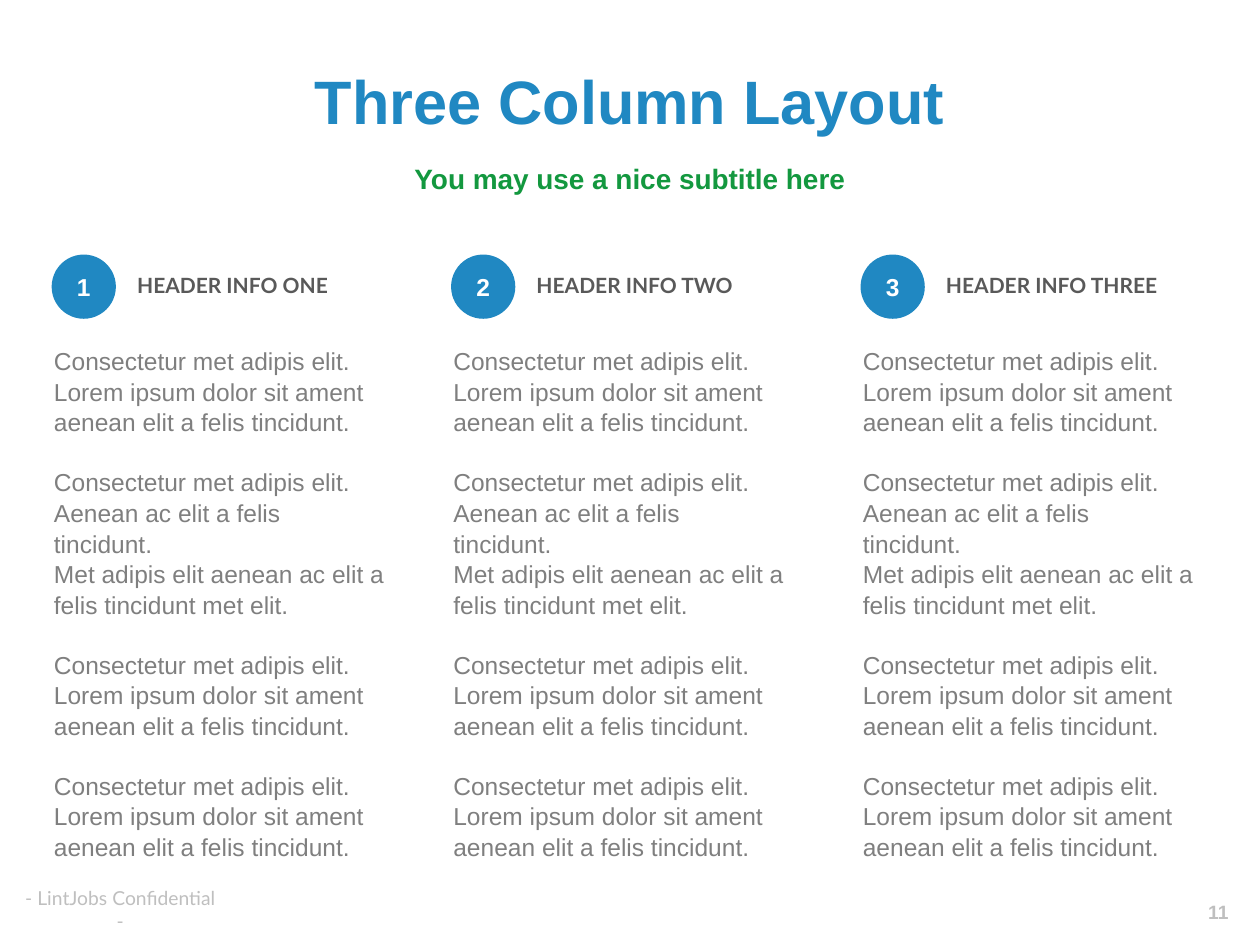
from pptx import Presentation, util as u
from pptx.dml.color import RGBColor
from pptx.enum import shapes, text

BLUE, GREEN, WHITE = "2088C2", "13983F", "FFFFFF"
DARK, GRAY, PALE = "595959", "7F7F7F", "BFBFBF"
LEFT, MID = text.PP_ALIGN.LEFT, text.PP_ALIGN.CENTER
COLS = (0.33, 3.5, 6.75)
HEADS = ("ONE", "TWO", "THREE")
WIDE, DOT, INDENT, PITCH = 2.83, 0.51, 0.66, 1.04
LOREM = "Consectetur met adipis elit. Lorem ipsum dolor sit ament aenean elit a felis tincidunt."
BODY = (
    (LOREM, 0),
    ("Consectetur met adipis elit. Aenean ac elit a felis tincidunt.", 1),
    ("Met adipis elit aenean ac elit a felis tincidunt met elit.", 0),
    (LOREM, 1),
    (LOREM, 1),
)


def color(code):
    """Turn a hex string into a colour."""
    return RGBColor.from_string(code)


def style(shape, size, code, bold=False, font="Arial", align=MID, space=1.0, top=False):
    """Format all text of a shape."""
    frame = shape.text_frame
    frame.word_wrap = True
    frame.auto_size = text.MSO_AUTO_SIZE.NONE
    frame.vertical_anchor = text.MSO_ANCHOR.TOP if top else text.MSO_ANCHOR.MIDDLE
    for para in frame.paragraphs:
        para.alignment, para.line_spacing = align, space
        for run in para.runs:
            run.font.name, run.font.size = font, u.Pt(size)
            run.font.bold = bold
            run.font.color.rgb = color(code)


def place(shape, *box):
    """Move a shape to a box given in inches."""
    shape.left, shape.top, shape.width, shape.height = map(u.Inches, box)


def label(slide, words, box, size, code, **look):
    """Add a formatted text box."""
    shape = slide.shapes.add_textbox(*map(u.Inches, box))
    shape.text_frame.text = words
    style(shape, size, code, **look)
    return shape


def badge(slide, words, left, top):
    """Add a round number badge."""
    box = map(u.Inches, (left, top, DOT, DOT))
    shape = slide.shapes.add_shape(shapes.MSO_SHAPE.ROUNDED_RECTANGLE, *box)
    shape.adjustments[0] = 0.5
    shape.shadow.inherit = False
    shape.fill.solid()
    shape.fill.fore_color.rgb = color(BLUE)
    shape.line.fill.background()
    shape.text_frame.text = words
    style(shape, 14, WHITE, bold=True)


def column(slide, num, left, head):
    """Add a badge, its header and the body text."""
    words = "\n".join(line for line, gap in BODY)
    body = label(slide, words, (left, 2.69, WIDE, 3.75), 14, GRAY,
                 align=LEFT, space=PITCH, top=True)
    for para, (line, gap) in zip(body.text_frame.paragraphs, BODY):
        para.space_before = u.Pt(16.8 * gap)
    label(slide, f"HEADER INFO {head}", (left + INDENT, 2, WIDE - INDENT, DOT), 12, DARK,
          bold=True, font="Lato", align=LEFT, space=1.1)
    badge(slide, str(num), left + 0.08, 2.02)


def main():
    """Build and save the slide."""
    deck = Presentation()
    deck.slide_width, deck.slide_height = u.Inches(10), u.Inches(7.5)
    slide = deck.slides.add_slide(deck.slide_layouts[5])
    title = slide.shapes.title
    place(title, 0.5, 0.42, 9, 0.75)
    title.text_frame.text = "Three Column Layout"
    style(title, 35, BLUE, bold=True)
    label(slide, "You may use a nice subtitle here", (0.5, 1.17, 9, 0.47), 16, GREEN,
          bold=True, space=1.1)
    for num, (left, head) in enumerate(zip(COLS, HEADS), 1):
        column(slide, num, left, head)
    label(slide, "- LintJobs Confidential -", (0.08, 7.02, 1.75, 0.4), 11, PALE, font="Lato")
    label(slide, "11", (9.42, 7.04, 0.5, 0.4), 11, PALE, bold=True)
    deck.save("out.pptx")


if __name__ == "__main__":
    main()
